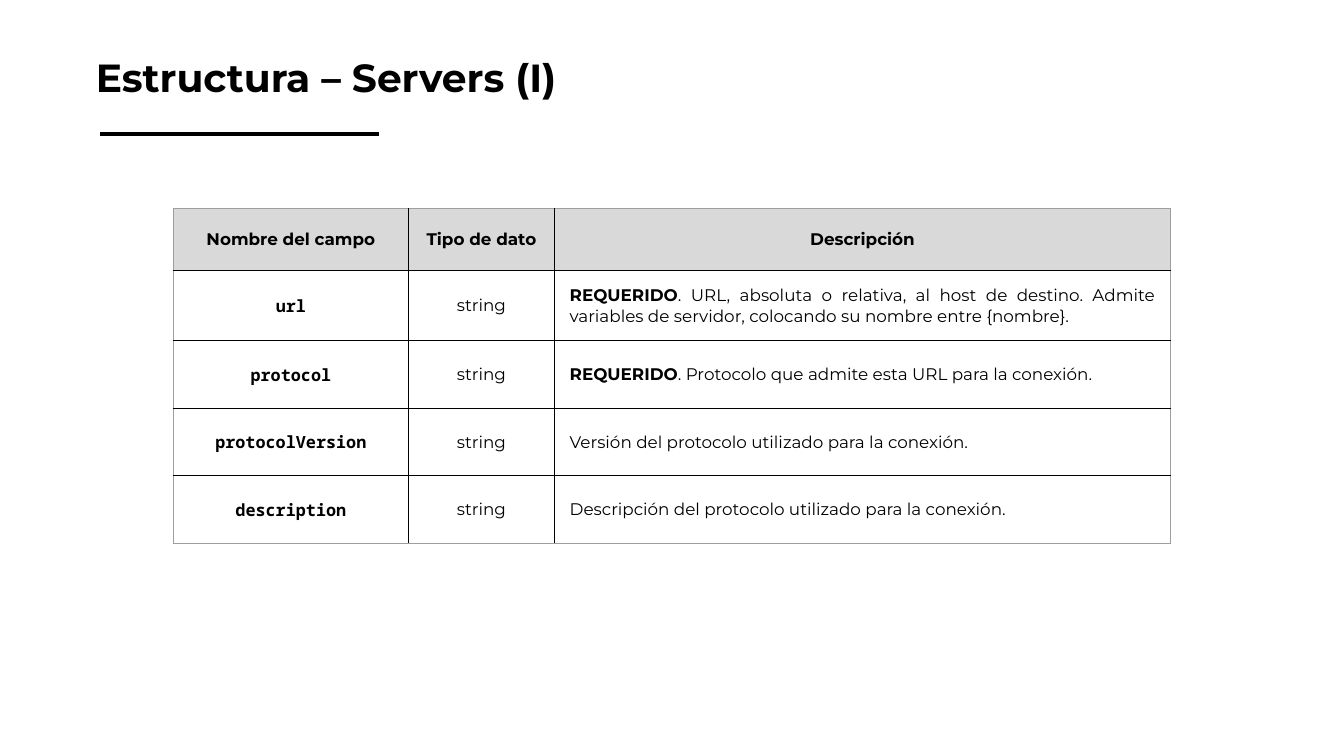
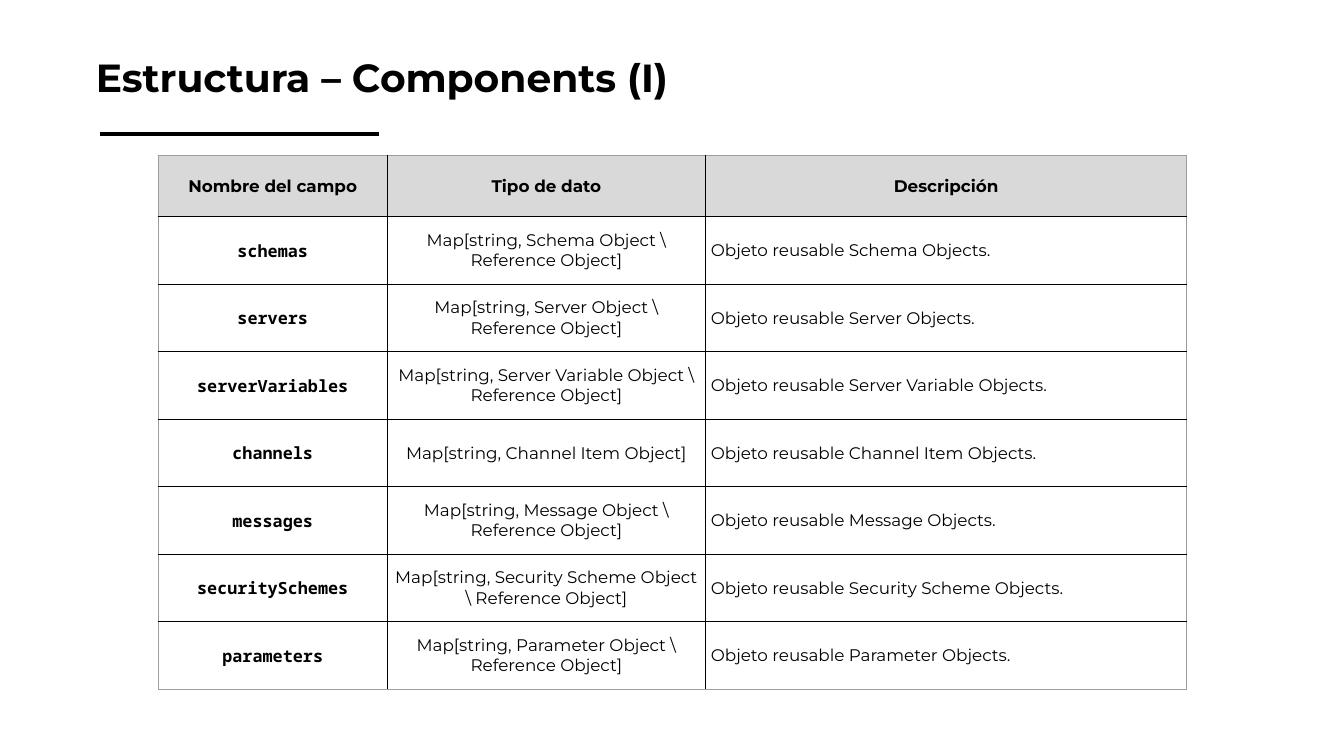
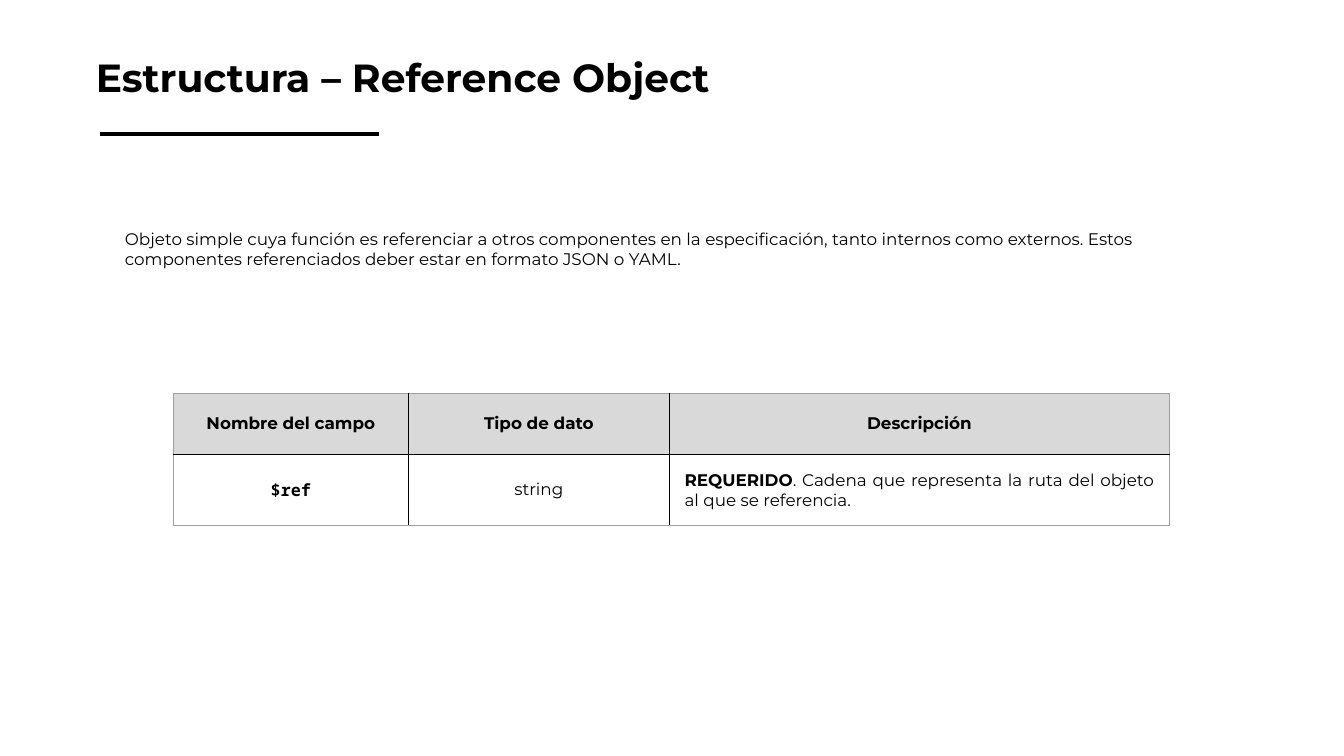
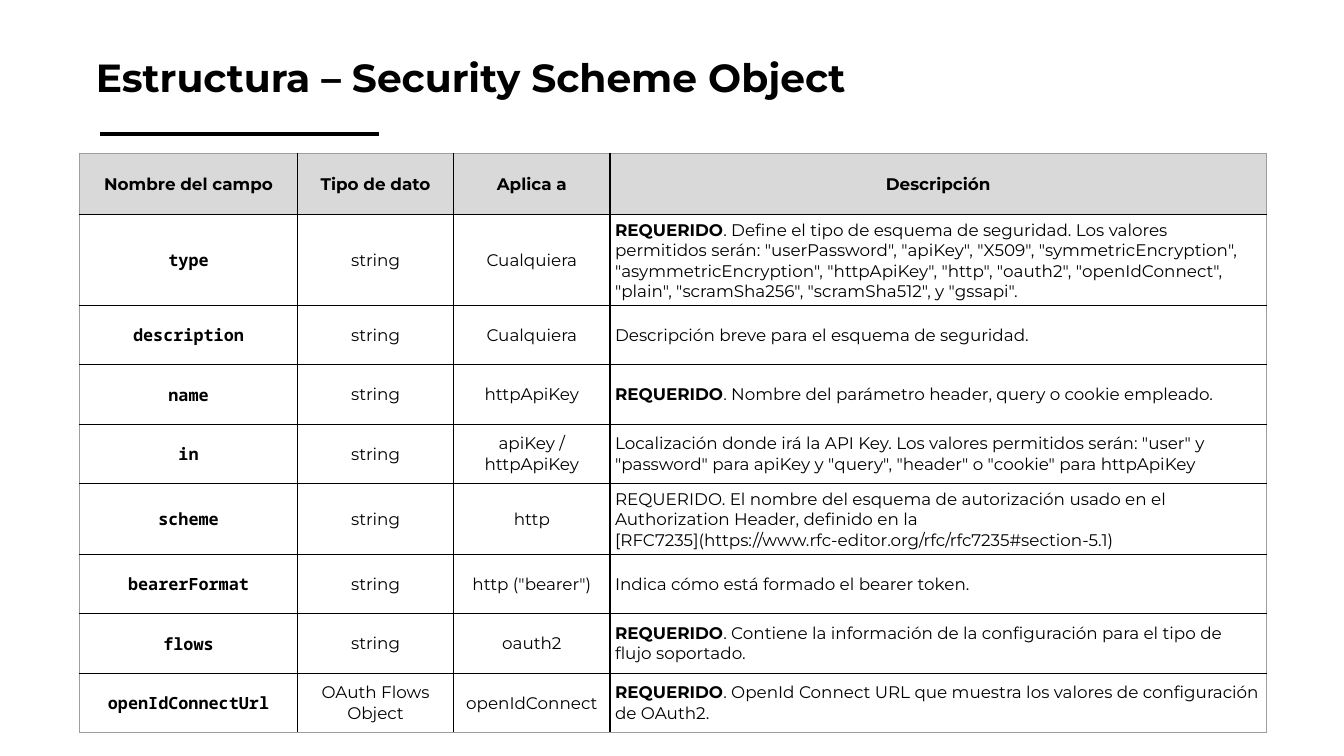
from lxml import etree
from pptx import Presentation
from pptx.dml.color import RGBColor
from pptx.enum.shapes import MSO_CONNECTOR
from pptx.enum.text import MSO_ANCHOR, MSO_AUTO_SIZE, PP_ALIGN
from pptx.oxml.ns import qn
from pptx.util import Inches, Pt

STRAIGHT = MSO_CONNECTOR.STRAIGHT
MIDDLE, TOP = MSO_ANCHOR.MIDDLE, MSO_ANCHOR.TOP
GROW = MSO_AUTO_SIZE.SHAPE_TO_FIT_TEXT
LEFT, CENTER, JUSTIFY = PP_ALIGN.LEFT, PP_ALIGN.CENTER, PP_ALIGN.JUSTIFY

# Shared look
BLACK, HEADER_GREY, EDGE_GREY = "000000", "D9D9D9", "9E9E9E"
SANS, MONO = "Montserrat", "Noto Sans Mono"
TITLE = {"name": SANS, "size": Pt(28), "bold": True}
BODY = {"name": SANS, "size": Pt(12), "bold": False}
STRONG = {**BODY, "bold": True}
CODE = {**STRONG, "name": MONO}
WIDE_INSET, NARROW_INSET = 0.15, 0.05
HEADER_HEIGHT = 0.61

# Shared wording
FIELD, TYPE, DESCRIPTION = "Nombre del campo", "Tipo de dato", "Descripción"
REQUIRED = "REQUERIDO"


def color(value):
    return RGBColor.from_string(value)


def write(paragraph, text, style, alignment=LEFT):
    """Write plain text, or a (bold lead, text) pair."""
    paragraph.alignment = alignment
    parts = [(text, style)]
    if isinstance(text, tuple):
        parts = list(zip(text, (STRONG, style)))
    for content, values in parts:
        run = paragraph.add_run()
        run.text = content
        for name, value in values.items():
            setattr(run.font, name, value)
        run.font.color.rgb = color(BLACK)


def set_insets(target, horizontal, vertical):
    target.margin_left = target.margin_right = Inches(horizontal)
    target.margin_top = target.margin_bottom = Inches(vertical)


def add_text(slide, box, text, style, insets, anchor=TOP):
    frame = slide.shapes.add_textbox(*map(Inches, box)).text_frame
    frame.word_wrap = True
    frame.auto_size = GROW
    frame.vertical_anchor = anchor
    set_insets(frame, *insets)
    write(frame.paragraphs[0], text, style)
    return frame.paragraphs[0]


def add_titled_slide(presentation, title):
    slide = presentation.slides.add_slide(presentation.slide_layouts[6])
    # Rule under the title
    rule = slide.shapes.add_connector(
        STRAIGHT, Inches(0.99), Inches(1.33), Inches(3.76), Inches(1.33))
    rule.line.color.rgb = color(BLACK)
    rule.line.width = Pt(3)
    etree.SubElement(rule._element.spPr, qn("a:effectLst"))
    # Title
    paragraph = add_text(slide, (0.82, 0.32, 8.75, 0.81), title, TITLE,
                         (0.13, 0.13), MIDDLE)
    paragraph.line_spacing = 1.15
    return slide


def set_borders(cell, edges):
    """Draw the four sides; those on the table's edge are grey."""
    properties = cell._tc.get_or_add_tcPr()
    for side, on_edge in zip("LRTB", edges):
        line = etree.SubElement(properties, qn(f"a:ln{side}"), w=str(Pt(1)))
        fill = etree.SubElement(line, qn("a:solidFill"))
        etree.SubElement(fill, qn("a:srgbClr"),
                         val=EDGE_GREY if on_edge else BLACK)


def add_field_table(slide, left, top, widths, row_height, rows,
                    header_inset=WIDE_INSET, body_inset=WIDE_INSET,
                    description_alignment=LEFT):
    last_row, last_column = len(rows) - 1, len(widths) - 1
    height = HEADER_HEIGHT + row_height * last_row
    table = slide.shapes.add_table(
        len(rows), len(widths),
        *map(Inches, (left, top, sum(widths), height))).table
    table.first_row = table.horz_banding = False
    for column, width in zip(table.columns, widths):
        column.width = Inches(width)
    for i, texts in enumerate(rows):
        is_header = i == 0
        table.rows[i].height = Inches(HEADER_HEIGHT if is_header else row_height)
        for j, text in enumerate(texts):
            cell = table.cell(i, j)
            cell.vertical_anchor = MIDDLE
            inset = header_inset if is_header else body_inset
            set_insets(cell, inset, inset)
            set_borders(cell, (j == 0, j == last_column, i == 0, i == last_row))
            style, alignment = BODY, CENTER
            if is_header:
                style = STRONG
                cell.fill.solid()
                cell.fill.fore_color.rgb = color(HEADER_GREY)
            else:
                cell.fill.background()
                if j == 0:
                    style = CODE
                elif j == last_column:
                    alignment = description_alignment
            write(cell.text_frame.paragraphs[0], text, style, alignment)


def build_servers(presentation):
    slide = add_titled_slide(presentation, "Estructura – Servers (I)")
    rows = [
        (FIELD, TYPE, DESCRIPTION),
        ("url", "string", (REQUIRED, ". URL, absoluta o relativa, al host de destino. "
                           "Admite variables de servidor, colocando su nombre entre {nombre}.")),
        ("protocol", "string",
         (REQUIRED, ". Protocolo que admite esta URL para la conexión.")),
        ("protocolVersion", "string",
         "Versión del protocolo utilizado para la conexión."),
        ("description", "string",
         "Descripción del protocolo utilizado para la conexión."),
    ]
    add_field_table(slide, 1.72, 2.07, (2.33, 1.45, 6.11), 0.67, rows,
                    description_alignment=JUSTIFY)


def build_components(presentation):
    slide = add_titled_slide(presentation, "Estructura – Components (I)")
    components = [
        ("schemas", "Schema Object"),
        ("servers", "Server Object"),
        ("serverVariables", "Server Variable Object"),
        ("channels", "Channel Item Object"),
        ("messages", "Message Object"),
        ("securitySchemes", "Security Scheme Object"),
        ("parameters", "Parameter Object"),
    ]
    rows = [(FIELD, TYPE, DESCRIPTION)]
    for field, kind in components:
        # Channels are the only component that takes no reference
        reference = "" if field == "channels" else " \\ Reference Object"
        rows.append((field, f"Map[string, {kind}{reference}]",
                     f"Objeto reusable {kind}s."))
    add_field_table(slide, 1.57, 1.54, (2.27, 3.16, 4.77), 0.67, rows,
                    body_inset=NARROW_INSET)


def build_reference(presentation):
    slide = add_titled_slide(presentation, "Estructura – Reference Object")
    rows = [
        (FIELD, TYPE, DESCRIPTION),
        ("$ref", "string", (REQUIRED, ". Cadena que representa la ruta del objeto "
                            "al que se referencia.")),
    ]
    add_field_table(slide, 1.72, 3.9, (2.33, 2.59, 4.96), 0.67, rows,
                    description_alignment=JUSTIFY)
    add_text(slide, (1.14, 2.22, 10.79, 0.5),
             "Objeto simple cuya función es referenciar a otros componentes en la "
             "especificación, tanto internos como externos. Estos componentes "
             "referenciados deber estar en formato JSON o YAML.", BODY, (0.1, 0.05))


def build_security_scheme(presentation):
    slide = add_titled_slide(presentation, "Estructura – Security Scheme Object")
    rows = [
        (FIELD, TYPE, "Aplica a", DESCRIPTION),
        ("type", "string", "Cualquiera",
         (REQUIRED, ". Define el tipo de esquema de seguridad. Los valores permitidos "
          'serán: "userPassword", "apiKey", "X509", "symmetricEncryption", '
          '"asymmetricEncryption", "httpApiKey", "http", "oauth2", "openIdConnect", '
          '"plain", "scramSha256", "scramSha512", y "gssapi".')),
        ("description", "string", "Cualquiera",
         "Descripción breve para el esquema de seguridad."),
        ("name", "string", "httpApiKey",
         (REQUIRED, ". Nombre del parámetro header, query o cookie empleado.")),
        ("in", "string", "apiKey / httpApiKey",
         'Localización donde irá la API Key. Los valores permitidos serán: "user" y '
         '"password" para apiKey y "query", "header" o "cookie" para httpApiKey'),
        ("scheme", "string", "http",
         "REQUERIDO. El nombre del esquema de autorización usado en el Authorization "
         "Header, definido en la "
         "[RFC7235](https://www.rfc-editor.org/rfc/rfc7235#section-5.1)"),
        ("bearerFormat", "string", 'http ("bearer")',
         "Indica cómo está formado el bearer token."),
        ("flows", "string", "oauth2",
         (REQUIRED, ". Contiene la información de la configuración para el tipo de "
          "flujo soportado.")),
        ("openIdConnectUrl", "OAuth Flows Object", "openIdConnect",
         (REQUIRED, ". OpenId Connect URL que muestra los valores de configuración "
          "de OAuth2.")),
    ]
    add_field_table(slide, 0.79, 1.52, (2.16, 1.55, 1.55, 6.51), 0.59, rows,
                    header_inset=NARROW_INSET, body_inset=NARROW_INSET)


def main():
    presentation = Presentation()
    presentation.slide_width = Inches(13.33)
    presentation.slide_height = Inches(7.5)
    for build in (build_servers, build_components, build_reference,
                  build_security_scheme):
        build(presentation)
    presentation.save("out.pptx")


if __name__ == "__main__":
    main()
